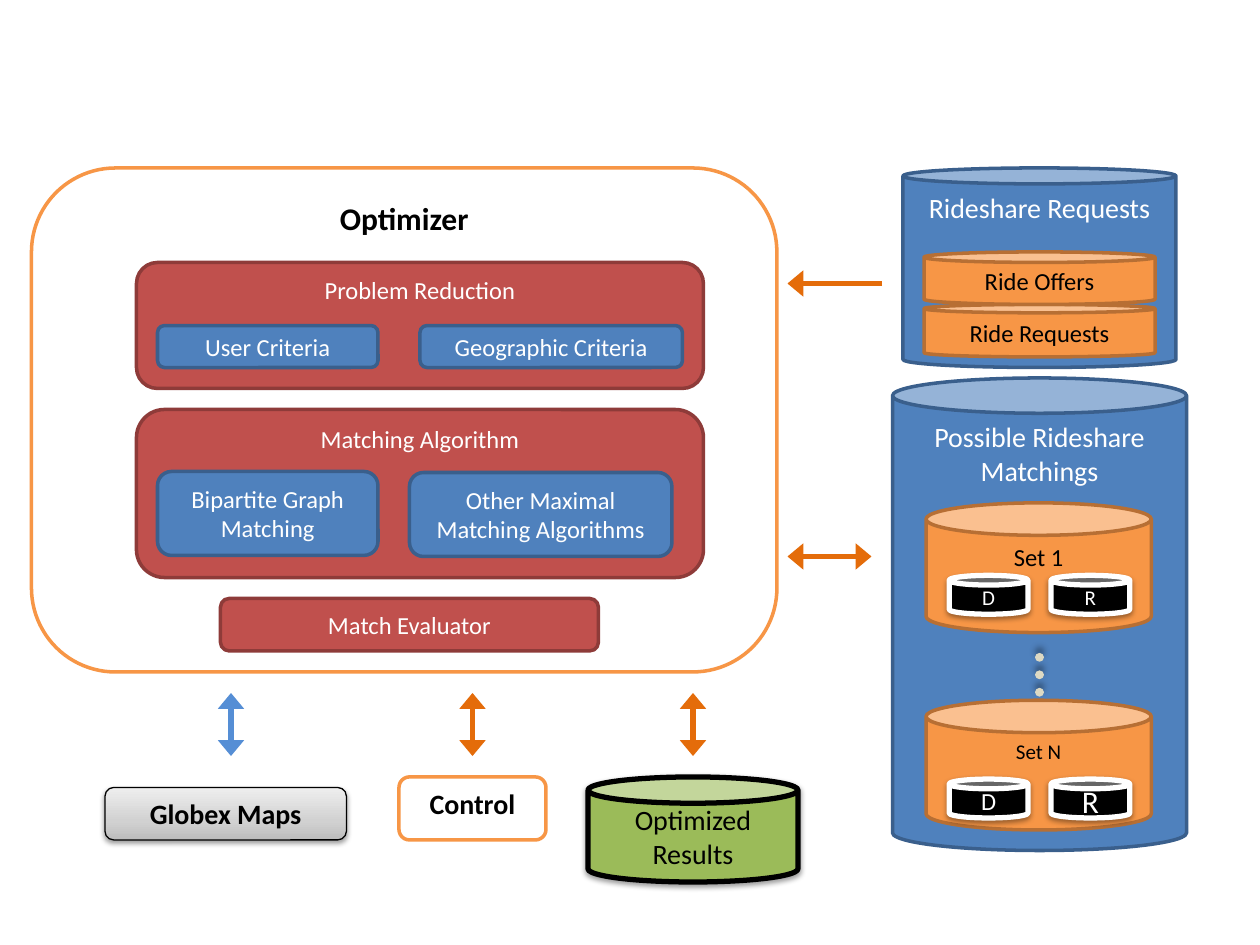
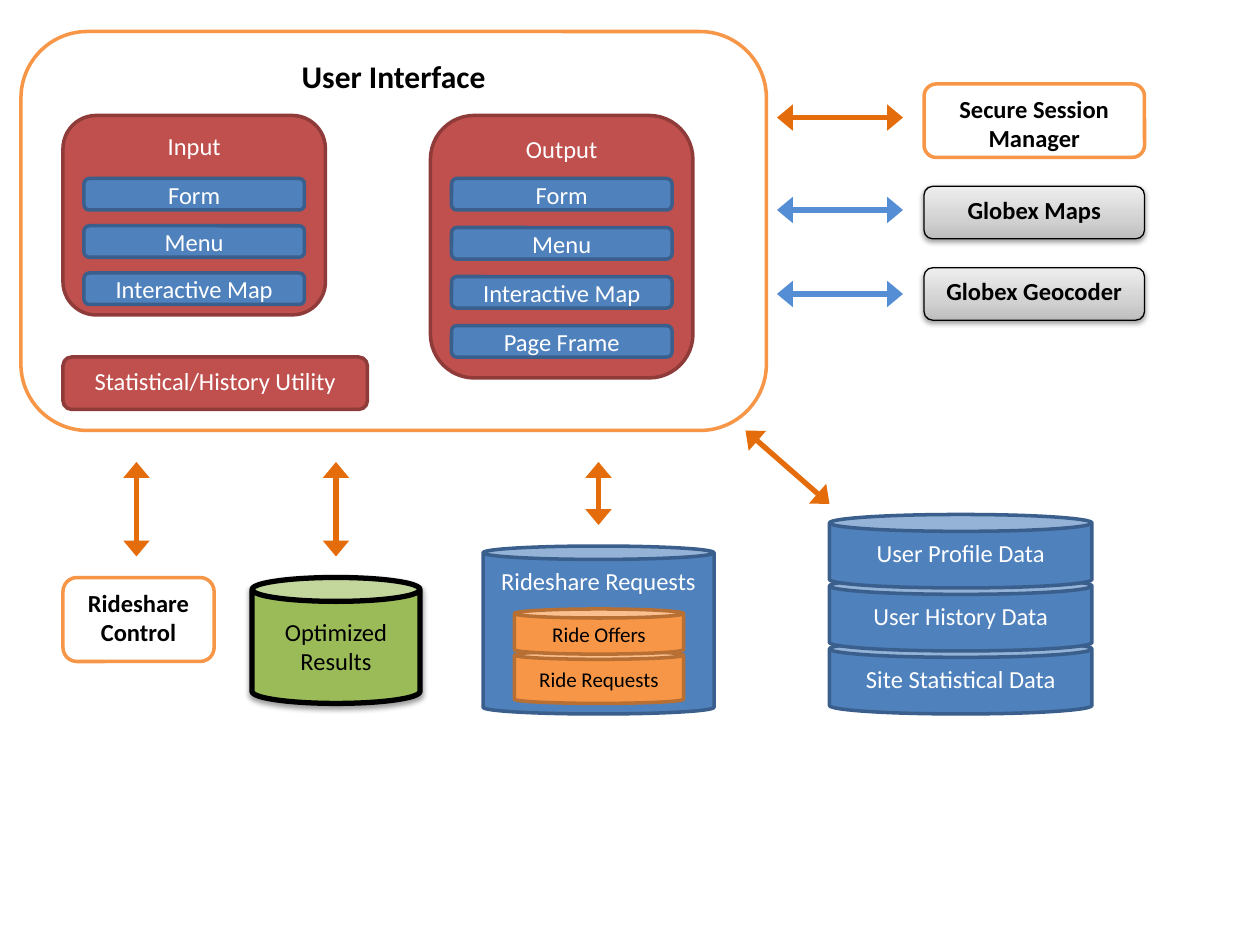
from dataclasses import dataclass
from typing import Any, Optional

from pptx import Presentation
from pptx.dml.color import RGBColor
from pptx.enum.dml import MSO_LINE
from pptx.enum.shapes import MSO_CONNECTOR, MSO_SHAPE
from pptx.enum.text import MSO_ANCHOR, PP_ALIGN
from pptx.oxml import parse_xml
from pptx.oxml.ns import nsdecls, qn
from pptx.util import Cm, Length, Pt

CELL = 2.54 / 12


@dataclass(frozen=True)
class Theme:
    font: str = "Calibri"
    white: str = "FFFFFF"
    black: str = "000000"
    blue: str = "4F81BD"
    navy: str = "3A5F8C"
    red: str = "C0504D"
    maroon: str = "8E3B39"
    orange: str = "F79646"
    brown: str = "B76F34"
    green: str = "9BBB59"
    flow: str = "E46C0A"
    link: str = "558ED5"
    sand: str = "DDD9C3"
    grey: tuple[tuple[int, str], ...] = (
        (0, "BDBDBD"), (35, "D1D1D1"), (100, "EEEEEE"))
    head: int = 18
    large: int = 16
    body: int = 14
    small: int = 12


THEME = Theme()


@dataclass(frozen=True)
class Shade:
    alpha: int = 38
    blur: float = 3.1
    dist: float = 1.6
    angle: int = 90


@dataclass(frozen=True)
class Style:
    form: MSO_SHAPE
    fill: Optional[str]
    edge: str
    ink: str = THEME.black
    width: float = 2
    bold: bool = False
    shade: Optional[Shade] = None


ROUND, CAN = MSO_SHAPE.ROUNDED_RECTANGLE, MSO_SHAPE.CAN
FRAME = Style(ROUND, THEME.white, THEME.orange, bold=True)
PANEL = Style(ROUND, THEME.red, THEME.maroon, THEME.white)
PART = Style(ROUND, THEME.blue, THEME.navy, THEME.white)
OUTER = Style(ROUND, None, THEME.black, width=0.75, bold=True, shade=Shade())
STORE = Style(CAN, THEME.blue, THEME.navy, THEME.white)
RIDES = Style(CAN, THEME.orange, THEME.brown)
RESULT = Style(CAN, THEME.green, THEME.black, width=3, shade=Shade())
ROLE = Style(CAN, THEME.black, THEME.white, THEME.white, 3, shade=Shade())


@dataclass(frozen=True)
class Box:
    style: Style
    text: str
    left: float
    top: float
    width: float
    height: float
    size: int = THEME.body
    mid: bool = False
    bend: Optional[float] = None


@dataclass(frozen=True)
class Arrow:
    left: float
    top: float
    right: float
    base: float
    color: str = THEME.flow
    both: bool = True


def grid(cells: float) -> Length:
    return Cm(cells * CELL)


def write(frame: Any, text: str, *, size: int, color: str,
          bold: bool = False, mid: bool = False) -> None:
    frame.word_wrap = True
    frame.vertical_anchor = MSO_ANCHOR.MIDDLE if mid else MSO_ANCHOR.TOP
    frame.text = text
    for para in frame.paragraphs:
        para.alignment = PP_ALIGN.CENTER
        font = para.runs[0].font
        font.name, font.size, font.bold = THEME.font, Pt(size), bold
        font.color.rgb = RGBColor.from_string(color)


def cast(props: Any, shade: Optional[Shade]) -> None:
    for old in props.findall(qn("a:effectLst")):
        props.remove(old)
    drop = "" if shade is None else (
        f'<a:outerShdw blurRad="{Pt(shade.blur)}" dist="{Pt(shade.dist)}" '
        f'dir="{shade.angle * 60000}" rotWithShape="0"><a:srgbClr '
        f'val="{THEME.black}"><a:alpha val="{shade.alpha * 1000}"/>'
        "</a:srgbClr></a:outerShdw>")
    props.append(parse_xml(
        f'<a:effectLst {nsdecls("a")}>{drop}</a:effectLst>'))


def blend(shape: Any) -> None:
    shape.fill.gradient()
    props = shape._element.spPr
    stops = "".join(
        f'<a:gs pos="{pos * 1000}"><a:srgbClr val="{color}"/></a:gs>'
        for pos, color in THEME.grey)
    props.replace(props.find(qn("a:gradFill")), parse_xml(
        f'<a:gradFill {nsdecls("a")} rotWithShape="1"><a:gsLst>{stops}'
        '</a:gsLst><a:lin ang="16200000" scaled="0"/></a:gradFill>'))


def place(shapes: Any, box: Box) -> None:
    style = box.style
    shape = shapes.add_shape(style.form, grid(box.left), grid(box.top),
                             grid(box.width), grid(box.height))
    if box.bend is not None:
        shape.adjustments[0] = box.bend
    if style.fill is None:
        blend(shape)
    else:
        shape.fill.solid()
        shape.fill.fore_color.rgb = RGBColor.from_string(style.fill)
    shape.line.color.rgb = RGBColor.from_string(style.edge)
    shape.line.width = Pt(style.width)
    shape.shadow.inherit = False
    cast(shape._element.spPr, style.shade)
    write(shape.text_frame, box.text, size=box.size, color=style.ink,
          bold=style.bold, mid=box.mid)


def stroke(shapes: Any, ends: Arrow, width: float,
           shade: Optional[Shade] = None) -> Any:
    line = shapes.add_connector(
        MSO_CONNECTOR.STRAIGHT, grid(ends.left), grid(ends.top),
        grid(ends.right), grid(ends.base))
    line.line.color.rgb = RGBColor.from_string(ends.color)
    line.line.width = Pt(width)
    cast(line._element.spPr, shade)
    return line


def point(shapes: Any, arrow: Arrow) -> None:
    line = stroke(shapes, arrow, 3)
    edge = line._element.spPr.find(qn("a:ln"))
    for tag in ("headEnd", "tailEnd") if arrow.both else ("tailEnd",):
        edge.append(parse_xml(
            f'<a:{tag} {nsdecls("a")} type="triangle" w="lg" len="med"/>'))


def dots(shapes: Any) -> None:
    line = stroke(shapes, Arrow(99, 62.6, 99, 67.2, THEME.sand), 5,
                  Shade(40, 4, 3, 270))
    line.line.dash_style = MSO_LINE.ROUND_DOT
    line._element.spPr.find(qn("a:ln")).set("cap", "rnd")


def fill(shapes: Any, boxes: list[Box]) -> None:
    for box in boxes:
        place(shapes, box)


def column(left: float, step: float, *names: str) -> list[Box]:
    return [Box(PART, name, left, 17 + row * step, 21, 3, mid=True)
            for row, name in enumerate(names)]


def pool(text: str, top: float, size: int, lid: float,
         donor: int, rider: int) -> list[Box]:
    return [
        Box(RIDES, text, 88.2, top, 21.45, 12.35, size),
        Box(ROLE, "R", 100.1, lid, 7.5, 3.7, rider, True),
        Box(ROLE, "D", 90.4, lid, 7.5, 3.7, donor, True),
    ]


def engine(slide: Any) -> None:
    shapes = slide.shapes
    fill(shapes, [
        Box(RESULT, "Optimized\nResults", 56, 74, 20, 10, THEME.large, True),
        Box(FRAME, "Optimizer", 3, 16, 71, 48, THEME.head),
        Box(PANEL, "Problem Reduction", 13, 25, 54, 12),
        Box(PART, "User Criteria", 15, 31, 21, 4, mid=True),
        Box(PART, "Geographic Criteria", 40, 31, 25, 4, mid=True),
        Box(PANEL, "Matching Algorithm", 13, 39, 54, 16),
        Box(PART, "Bipartite Graph Matching", 15, 44.9, 21, 8, mid=True),
        Box(PART, "Other Maximal Matching Algorithms", 39, 45, 25, 8,
            mid=True),
        Box(PANEL, "Match Evaluator", 21, 57, 36, 5, mid=True),
    ])
    fill(shapes.add_group_shape().shapes, [
        Box(STORE, "Rideshare Requests", 86, 16, 26, 19, THEME.large,
            bend=0.08),
        Box(RIDES, "Ride Requests", 88, 29, 22, 5, mid=True, bend=0.16),
        Box(RIDES, "Ride Offers", 88, 24, 22, 5, mid=True, bend=0.2),
    ])
    group = shapes.add_group_shape().shapes
    fill(group, [
        Box(STORE, "Possible Rideshare Matchings", 85, 36, 28, 45,
            THEME.large, bend=0.12),
        *pool("Set 1", 47.9, THEME.body, 54.8, THEME.small, THEME.small),
        *pool("Set N", 66.7, THEME.small, 74.2, THEME.body, THEME.head),
    ])
    dots(group)
    fill(shapes, [
        Box(FRAME, "Control", 38, 74, 14, 6, THEME.large),
        Box(OUTER, "Globex Maps", 10, 75, 23, 5, THEME.large),
    ])
    for left, color in ((22, THEME.link), (45, THEME.flow), (66, THEME.flow)):
        point(shapes, Arrow(left, 66, left, 72, color))
    point(shapes, Arrow(84, 27, 75, 27, both=False))
    point(shapes, Arrow(83, 53, 75, 53))


def portal(slide: Any) -> None:
    shapes = slide.shapes
    data = [Box(STORE, f"{name} Data", 79, 61 - 6 * row, 25, 7, bend=0.23)
            for row, name in enumerate(
                ("Site Statistical", "User History", "User Profile"))]
    fill(shapes, data + [
        Box(FRAME, "User Interface", 2, 3, 71, 38, THEME.head),
        Box(RESULT, "Optimized\nResults", 24, 55, 16, 12, mid=True,
            bend=0.19),
        Box(FRAME, "Rideshare\nControl", 6, 55, 14.4, 8),
        Box(STORE, "Rideshare Requests", 46, 52, 22, 16, bend=0.08),
        Box(RIDES, "Ride Requests", 49, 62, 16.1, 5, THEME.small, True, 0.16),
        Box(RIDES, "Ride Offers", 49, 58, 16.1, 4.3, THEME.small, True, 0.2),
        Box(FRAME, "Secure Session Manager", 88, 8, 21, 7),
        Box(OUTER, "Globex Maps", 88, 17.75, 21, 5),
        Box(OUTER, "Globex Geocoder", 88, 25.5, 21, 5),
        Box(PANEL, "Output", 41, 11, 25, 25),
        *column(43, 4.67, "Form", "Menu", "Interactive Map", "Page Frame"),
        Box(PANEL, "Input", 6, 11, 25, 19),
        *column(8, 4.5, "Form", "Menu", "Interactive Map"),
        Box(PANEL, "Statistical/History Utility", 6, 34, 29, 5),
    ])
    for top, color in ((11.2, THEME.flow), (20, THEME.link), (28, THEME.link)):
        point(shapes, Arrow(86, top, 74, top, color))
    for left, top in ((13, 53), (32, 53), (57, 50)):
        point(shapes, Arrow(left, top, left, 44))
    point(shapes, Arrow(79, 48, 71, 41))


def main() -> None:
    deck = Presentation()
    deck.slide_width, deck.slide_height = Cm(25.4), Cm(19.05)
    blank = deck.slide_layouts.get_by_name("Blank")
    for draw in (engine, portal):
        draw(deck.slides.add_slide(blank))
    deck.save("out.pptx")


if __name__ == "__main__":
    main()
